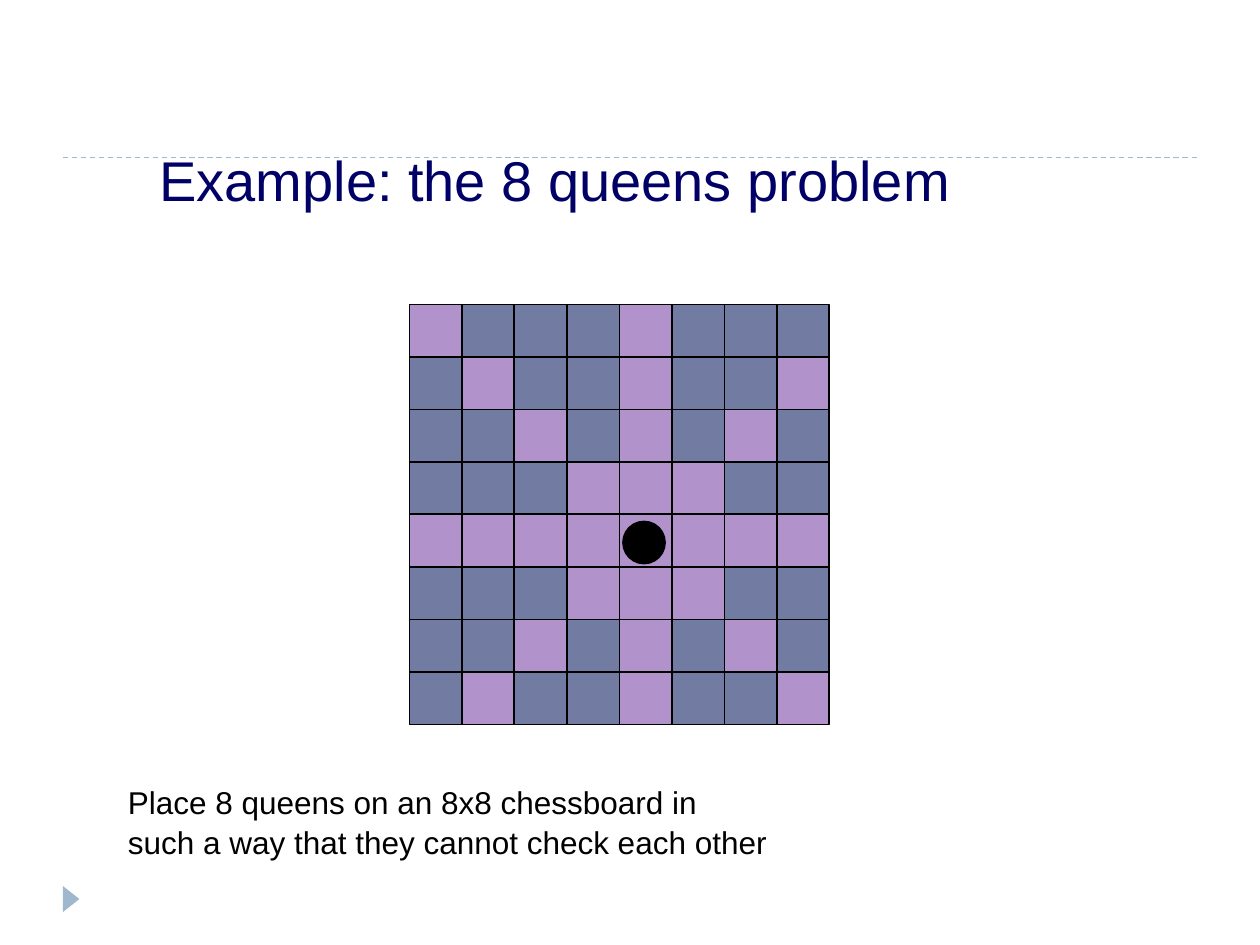
"""Build the 8 queens slide: a chessboard with one queen and the squares it attacks."""
from pptx import Presentation
from pptx.dml.color import RGBColor
from pptx.enum.dml import MSO_LINE
from pptx.enum.shapes import MSO_CONNECTOR, MSO_SHAPE
from pptx.enum.text import MSO_ANCHOR
from pptx.oxml.ns import qn
from pptx.util import Pt
from lxml.etree import SubElement


def paint(color_format, hex_color):
    color_format.rgb = RGBColor.from_string(hex_color)


def add_filled(container, kind, box, fill, outline=None):
    shape = container.shapes.add_shape(kind, *map(Pt, box))
    shape.shadow.inherit = False
    shape.fill.solid()
    paint(shape.fill.fore_color, fill)
    if outline:
        paint(shape.line.color, outline)
        shape.line.width = Pt(1)
    else:
        shape.line.fill.background()
    return shape


presentation = Presentation()
presentation.slide_width, presentation.slide_height = Pt(720), Pt(540)
slide = presentation.slides.add_slide(presentation.slide_layouts[6])

divider = slide.shapes.add_connector(MSO_CONNECTOR.STRAIGHT, Pt(36), Pt(90), Pt(684), Pt(90))
paint(divider.line.color, "9FB8CD")
divider.line.width = Pt(0.75)
divider.line.dash_style = MSO_LINE.DASH
SubElement(divider.element.spPr, qn("a:effectLst"))

marker = add_filled(slide, MSO_SHAPE.ISOSCELES_TRIANGLE, (33.1, 509, 15, 9.5), "9FB8CD")
marker.rotation = 90

board = slide.shapes.add_group_shape()
board_left, board_top, cell = 234, 174, 30
queen_row, queen_column = 4, 4
for row in range(8):
    for column in range(8):
        row_gap, column_gap = abs(row - queen_row), abs(column - queen_column)
        attacked = row_gap == 0 or column_gap == 0 or row_gap == column_gap
        box = (board_left + column * cell, board_top + row * cell, cell, cell)
        add_filled(board, MSO_SHAPE.RECTANGLE, box, "B292CA" if attacked else "727CA3", "000000")
add_filled(board, MSO_SHAPE.OVAL, (356, 298, 24, 24), "000000", "000000")

texts = [
    ((66, 444, 591, 74), MSO_ANCHOR.TOP, 18, "000000", 1, 1,
     ["Place 8 queens on an 8x8 chessboard in", "such a way that they cannot check each other"]),
    ((84, 54, 472, 78), MSO_ANCHOR.MIDDLE, 32, "000066", 1.5, 0, ["Example: the 8 queens problem"]),
]
for box, anchor, size, color, line_spacing, space_before, lines in texts:
    frame = slide.shapes.add_textbox(*map(Pt, box)).text_frame
    frame.word_wrap = True
    frame.vertical_anchor = anchor
    for index, line in enumerate(lines):
        paragraph = frame.add_paragraph() if index else frame.paragraphs[0]
        paragraph.line_spacing = line_spacing
        paragraph.space_before = Pt(space_before)
        run = paragraph.add_run()
        run.text = line
        run.font.name = "Arial"
        run.font.size = Pt(size)
        paint(run.font.color, color)

presentation.save("out.pptx")
